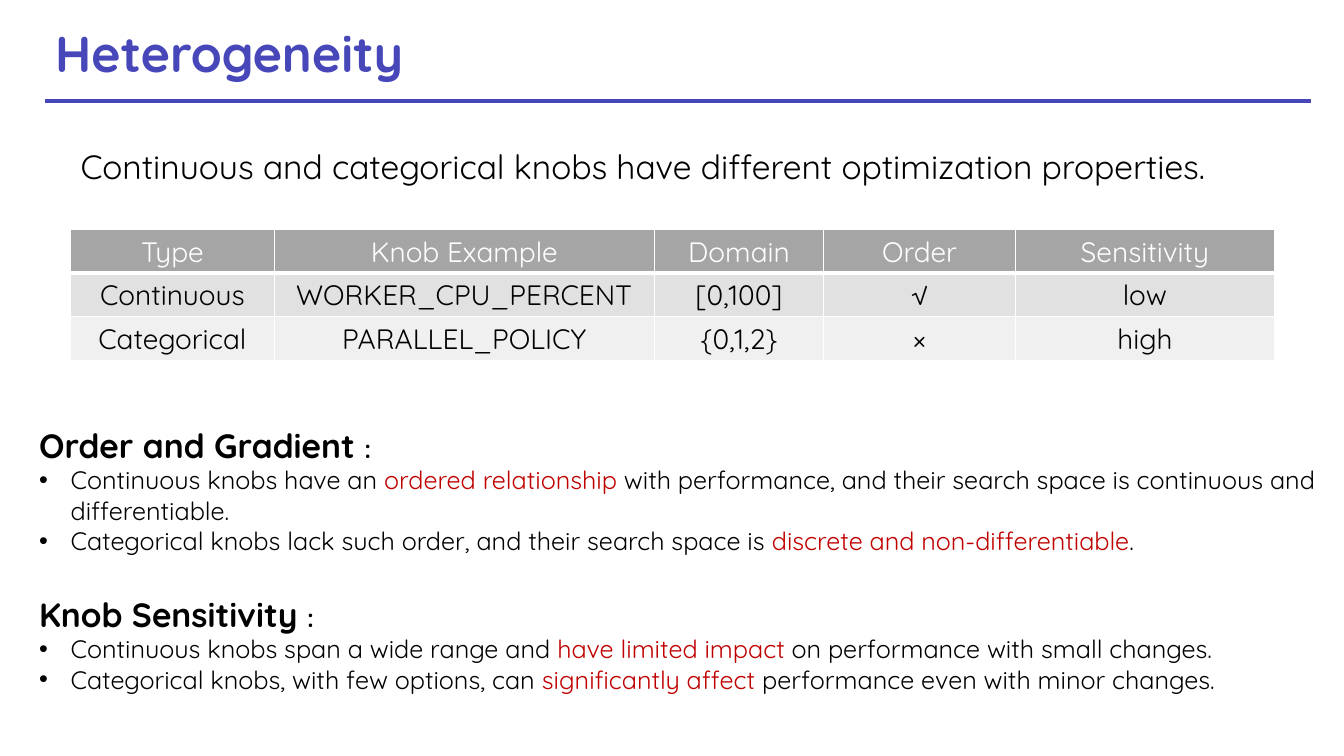
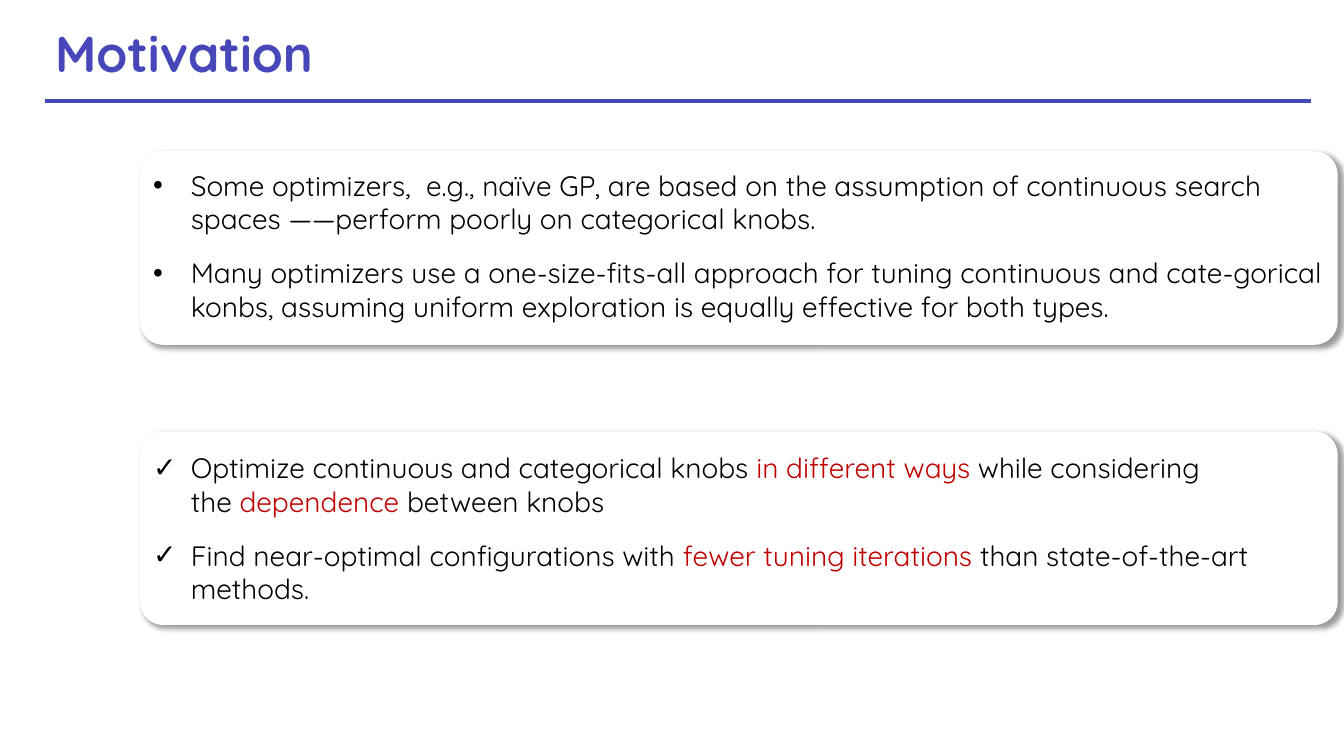
import pptx
import pptx.util
import pptx.oxml
import pptx.dml.color
import pptx.enum.shapes
import pptx.enum.text
from pptx.util import Cm, Pt

COLORS = {
    "accent": "4747BA", "text": "000000", "key": "C00000", "white": "FFFFFF",
    "head": "A5A5A5", "row_a": "E1E1E1", "row_b": "F0F0F0",
}
FONT = "Quicksand"
NS = 'xmlns:a="http://schemas.openxmlformats.org/drawingml/2006/main"'

# Content: text between bars is highlighted
LEAD = "Continuous and categorical knobs have different optimization properties."
KNOB_COLS = (5.13, 9.58, 4.27, 4.83, 6.53)
KNOBS = [
    ("Type", "Knob Example", "Domain", "Order", "Sensitivity"),
    ("Continuous", "WORKER_CPU_PERCENT", "[0,100]", "√", "low"),
    ("Categorical", "PARALLEL_POLICY", "{0,1,2}", "×", "high"),
]
NOTES = [  # top, height, heading, bullets
    (10.57, 3.58, "Order and Gradient ", [
        "Continuous knobs have an |ordered relationship |with performance, "
        "and their search space is continuous and differentiable.",
        "Categorical knobs lack such order, and their search space is "
        "|discrete and non-differentiable|.",
    ]),
    (14.83, 2.82, "Knob Sensitivity ", [
        "Continuous knobs span a wide range and |have limited impact| "
        "on performance with small changes.",
        "Categorical knobs, with few options, can |significantly affect |"
        "performance even with minor changes.",
    ]),
]
CARDS = [  # card top, first text top, text width, bullet, items
    (3.81, 4.11, 30.18, "•", [
        "Some optimizers,  e.g., naïve GP, are based on the assumption of "
        "continuous search spaces ——perform poorly on categorical knobs.",
        "Many optimizers use a one-size-fits-all approach for tuning continuous "
        "and cate-gorical konbs, assuming uniform exploration is equally "
        "effective for both types.",
    ]),
    (10.87, 11.23, 28.91, "✓", [
        "Optimize continuous and categorical knobs |in different ways |"
        "while considering\nthe |dependence| between knobs",
        "Find near-optimal configurations with |fewer tuning iterations |"
        "than state-of-the-art methods.",
    ]),
]


def rgb(name):
    return pptx.dml.color.RGBColor.from_string(COLORS[name])


def add_run(p, text, size, color="text", bold=False):
    r = p.add_run()
    r.text = text
    for key, value in {"name": FONT, "size": Pt(size), "bold": bold}.items():
        setattr(r.font, key, value)
    r.font.color.rgb = rgb(color)


def add_marked(p, text, size):
    for i, part in enumerate(text.split("|")):
        for j, line in enumerate(part.split("\n")):
            if j:
                p.add_line_break()
            if line:
                add_run(p, line, size, "key" if i % 2 else "text")


def set_bullet(p, char, indent):
    pPr = p._p.get_or_add_pPr()
    pPr.set("marL", str(Cm(indent)))
    pPr.set("indent", str(-Cm(indent)))
    for xml in (f'<a:buFont {NS} typeface="Arial"/>', f'<a:buChar {NS} char="{char}"/>'):
        pPr.append(pptx.oxml.parse_xml(xml))


def add_text(shapes, x, y, w, h):
    tf = shapes.add_textbox(Cm(x), Cm(y), Cm(w), Cm(h)).text_frame
    tf.word_wrap = True
    tf.vertical_anchor = pptx.enum.text.MSO_ANCHOR.TOP
    return tf


def set_effects(sp, inner=""):
    sp._element.spPr.append(pptx.oxml.parse_xml(f"<a:effectLst {NS}>{inner}</a:effectLst>"))


def add_titled_slide(prs, title):
    s = prs.slides.add_slide(prs.slide_layouts[6])
    rule = s.shapes.add_connector(
        pptx.enum.shapes.MSO_CONNECTOR.STRAIGHT, Cm(1.14), Cm(2.54), Cm(33.05), Cm(2.54))
    rule.line.color.rgb = rgb("accent")
    rule.line.width = Pt(3)
    set_effects(rule)
    p = add_text(s.shapes, 1.14, 0.61, 18.9, 1.65).paragraphs[0]
    p.line_spacing = 0.9
    p.space_before = Pt(10)
    add_run(p, title, 36, "accent", True)
    return s


def set_borders(cell, widths):
    tcPr = cell._tc.get_or_add_tcPr()
    for i, (side, width) in enumerate(zip("LRTB", widths)):
        tcPr.insert(i, pptx.oxml.parse_xml(
            f'<a:ln{side} {NS} w="{Pt(width)}"><a:solidFill>'
            f'<a:srgbClr val="{COLORS["white"]}"/></a:solidFill></a:ln{side}>'))


def add_knob_table(s):
    table = s.shapes.add_table(len(KNOBS), len(KNOB_COLS), Cm(1.78), Cm(5.77),
                               Cm(sum(KNOB_COLS)), Cm(1.05 * len(KNOBS))).table
    for col, width in zip(table.columns, KNOB_COLS):
        col.width = Cm(width)
    for i, (row, fill) in enumerate(zip(KNOBS, ("head", "row_a", "row_b"))):
        for j, text in enumerate(row):
            cell = table.cell(i, j)
            cell.fill.solid()
            cell.fill.fore_color.rgb = rgb(fill)
            set_borders(cell, (1, 1, 1, 1 if i else 3))
            p = cell.text_frame.paragraphs[0]
            p.alignment = pptx.enum.text.PP_ALIGN.CENTER
            add_run(p, text, 20, "text" if i else "white")


def add_note(s, top, height, heading, bullets):
    tf = add_text(s.shapes, 0.74, top, 33.12, height)
    p = tf.paragraphs[0]
    add_run(p, heading, 24, bold=True)
    add_run(p, ":", 18, bold=True)
    for text in bullets:
        p = tf.add_paragraph()
        set_bullet(p, "•", 0.79)
        add_marked(p, text, 18)


def add_card(s, top, text_top, width, bullet, items):
    sp = s.shapes.add_shape(pptx.enum.shapes.MSO_SHAPE.ROUNDED_RECTANGLE,
                            Cm(3.53), Cm(top), Cm(30.18), Cm(4.88))
    sp.adjustments[0] = 0.12
    sp.fill.solid()
    sp.fill.fore_color.rgb = rgb("white")
    sp.line.fill.background()
    set_effects(sp, f'<a:outerShdw blurRad="{Pt(4)}" dist="{Pt(3)}" dir="2700000" algn="tl" '
                    f'rotWithShape="0"><a:srgbClr val="{COLORS["text"]}">'
                    '<a:alpha val="40000"/></a:srgbClr></a:outerShdw>')
    group = s.shapes.add_group_shape()
    for i, text in enumerate(items):
        p = add_text(group.shapes, 3.61, text_top + 2.21 * i, width, 1.96).paragraphs[0]
        set_bullet(p, bullet, 0.95)
        add_marked(p, text, 20)


def main():
    prs = pptx.Presentation()
    prs.slide_width, prs.slide_height = Cm(33.87), Cm(19.05)

    # Knob types and their properties
    s = add_titled_slide(prs, "Heterogeneity")
    add_knob_table(s)
    add_run(add_text(s.shapes, 1.78, 3.56, 30.33, 1.27).paragraphs[0], LEAD, 24)
    for note in NOTES:
        add_note(s, *note)

    # Problems and goals
    s = add_titled_slide(prs, "Motivation")
    for card in CARDS:
        add_card(s, *card)

    prs.save("out.pptx")


if __name__ == "__main__":
    main()
